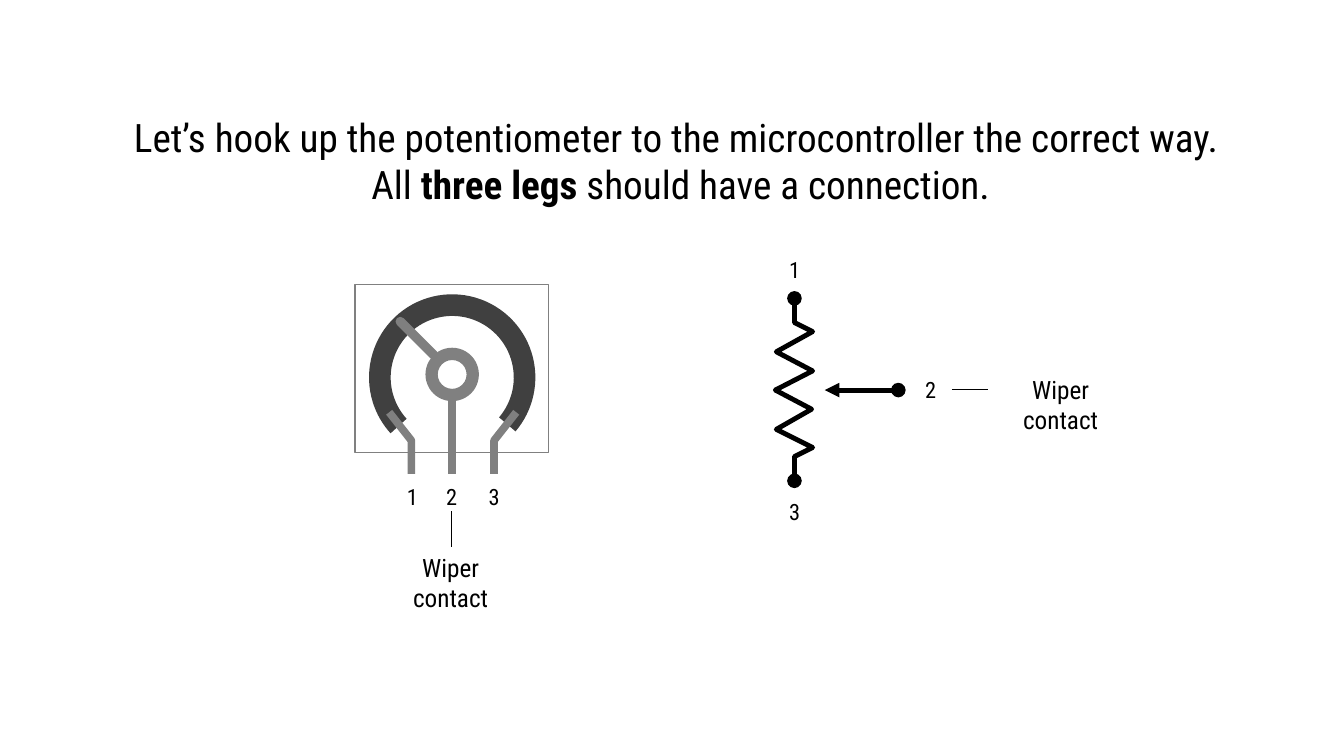
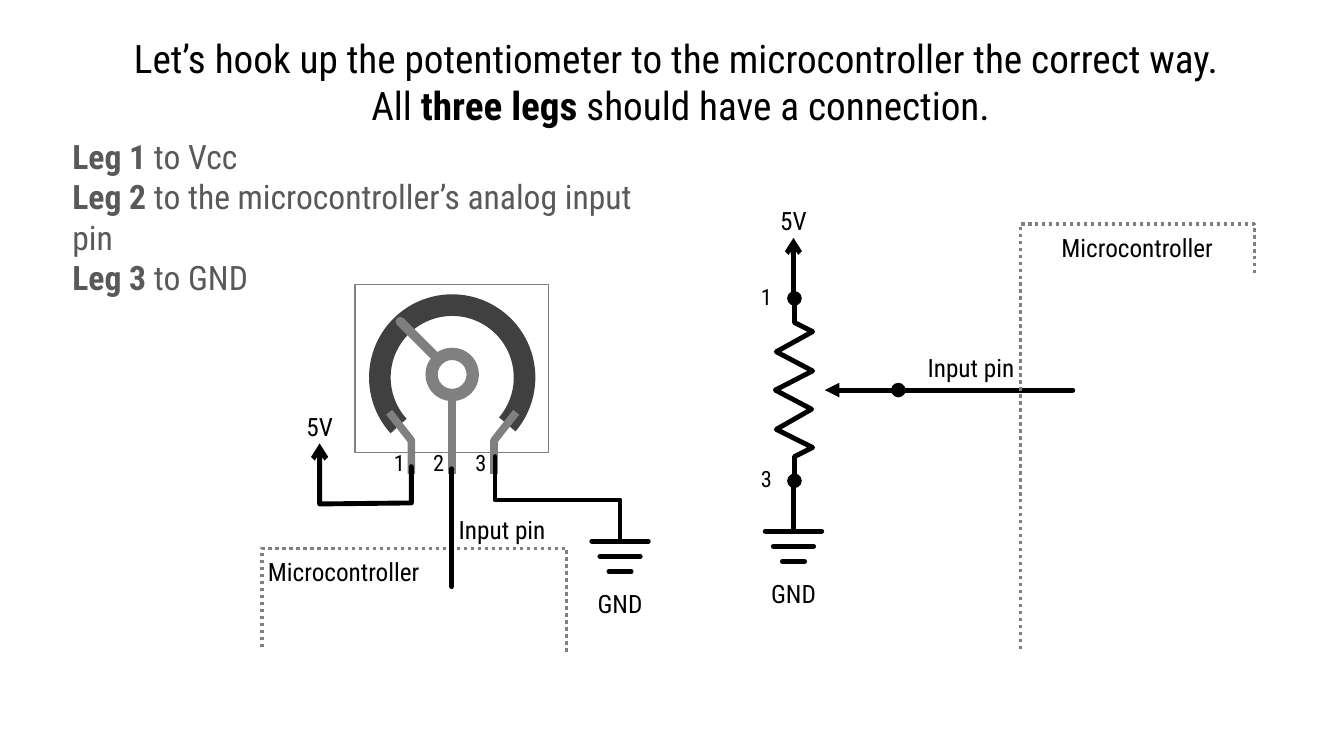
import pptx
import pptx.util
import pptx.dml.color
import pptx.enum.dml
import pptx.enum.shapes
import pptx.enum.text
import pptx.oxml
import pptx.oxml.ns
from pptx.util import Inches

COLORS = {
    "black": "000000",
    "track": "404040",
    "caption": "595959",
    "wiper": "7F7F7F",
    "metal": "808080",
}
FONT = "Roboto Condensed"
THIN, METAL, WIRE = 0.5, 5.5, 3.5
RESISTOR_X, WIPER_X, WIPER_Y = 7.87, 4.48, 3.87
TITLE = [
    [("Let’s hook up the potentiometer to the microcontroller the correct way. ", False)],
    [("All ", False), ("three legs ", True), ("should have a connection.", False)],
]
CONNECTIONS = [
    [("Leg 1 ", True), ("to Vcc", False)],
    [("Leg 2 ", True), ("to the microcontroller’s analog input pin", False)],
    [("Leg 3 ", True), ("to GND", False)],
]
RESISTOR = [
    (7.88, 2.96), (7.88, 3.2), (8.06, 3.29), (7.7, 3.49), (8.06, 3.68), (7.69, 3.87),
    (8.05, 4.06), (7.7, 4.26), (8.06, 4.44), (7.88, 4.53), (7.88, 4.77),
]
LEG_CENTERS = (4.09, WIPER_X, 4.9)


class CircuitDeck:
    def __init__(self):
        self.presentation = pptx.Presentation()
        self.presentation.slide_width = Inches(13.33)
        self.presentation.slide_height = Inches(7.5)
        self.slide = None

    def color(self, name):
        return pptx.dml.color.RGBColor.from_string(COLORS[name])

    def add_slide(self, title_top):
        layout = self.presentation.slide_layouts[5]
        self.slide = self.presentation.slides.add_slide(layout)
        title = self.slide.shapes.title
        title.left, title.top = Inches(0.16), Inches(title_top)
        title.width, title.height = Inches(13.18), Inches(1.04)
        self.fill_frame(title.text_frame, TITLE, 28)

    def fill_frame(self, frame, paragraphs, size, color="black", centered=True):
        align = pptx.enum.text.PP_ALIGN
        frame.word_wrap = True
        frame.auto_size = pptx.enum.text.MSO_AUTO_SIZE.NONE
        frame.vertical_anchor = pptx.enum.text.MSO_ANCHOR.TOP
        for index, runs in enumerate(paragraphs):
            paragraph = frame.add_paragraph() if index else frame.paragraphs[0]
            paragraph.alignment = align.CENTER if centered else align.LEFT
            for text, bold in runs:
                run = paragraph.add_run()
                run.text = text
                run.font.name = FONT
                run.font.size = pptx.util.Pt(size)
                run.font.bold = bold
                run.font.color.rgb = self.color(color)

    def text(self, left, top, width, height, paragraphs, size, color="black", centered=True):
        box = self.slide.shapes.add_textbox(*map(Inches, (left, top, width, height)))
        self.fill_frame(box.text_frame, paragraphs, size, color, centered)

    def label(self, text, center, top, width, size=18):
        self.text(center - width / 2, top, width, 0.4, [[(text, False)]], size)

    def number(self, text, center, top):
        self.label(text, center, top, 0.65, 16)

    def stroke(self, shape, color, width, head=None, tail=None, rounded=False, dotted=False):
        line = shape.line
        line.color.rgb = self.color(color)
        line.width = pptx.util.Pt(width)
        if dotted:
            line.dash_style = pptx.enum.dml.MSO_LINE.ROUND_DOT
        properties = shape._element.spPr.find(pptx.oxml.ns.qn("a:ln"))
        if rounded:
            properties.set("cap", "rnd")
        for tag, kind in (("headEnd", head), ("tailEnd", tail)):
            if kind:
                namespace = pptx.oxml.ns.nsdecls("a")
                properties.append(pptx.oxml.parse_xml(f'<a:{tag} {namespace} type="{kind}"/>'))

    def line(self, start, end, color="black", width=WIRE, **style):
        connector = self.slide.shapes.add_connector(
            pptx.enum.shapes.MSO_CONNECTOR.STRAIGHT, *map(Inches, (*start, *end)))
        self.stroke(connector, color, width, **style)
        effects = pptx.oxml.parse_xml(f'<a:effectLst {pptx.oxml.ns.nsdecls("a")}/>')
        connector._element.spPr.append(effects)

    def outline(self, points, color="black", width=WIRE, **style):
        corners = [(Inches(x), Inches(y)) for x, y in points]
        builder = self.slide.shapes.build_freeform(*corners[0])
        builder.add_line_segments(corners[1:], close=False)
        shape = builder.convert_to_shape()
        shape.shadow.inherit = False
        shape.fill.background()
        self.stroke(shape, color, width, **style)

    def preset(self, kind, left, top, width, height, fill=None, adjustments=(), rotation=0):
        shape = self.slide.shapes.add_shape(kind, *map(Inches, (left, top, width, height)))
        shape.shadow.inherit = False
        shape.rotation = rotation
        for index, value in enumerate(adjustments):
            shape.adjustments[index] = value
        if fill:
            shape.fill.solid()
            shape.fill.fore_color.rgb = self.color(fill)
            shape.line.fill.background()
        else:
            shape.fill.background()
            self.stroke(shape, "metal", 1)

    def potentiometer(self, number_shift, number_top):
        kinds = pptx.enum.shapes.MSO_SHAPE
        self.preset(kinds.BLOCK_ARC, 3.66, 2.92, 1.65, 1.65, "track",
                    (57.13, 214.69, 0.13), 42.6)
        for outer, inner in ((3.86, 4.08), (5.12, 4.9)):
            self.outline([(outer, 4.09), (inner, 4.37), (inner, 4.7)], "metal", METAL)
        self.line((WIPER_X, 3.96), (WIPER_X, 4.7), "metal", METAL)
        self.preset(kinds.RECTANGLE, 3.52, 2.82, 1.92, 1.67)
        self.preset(kinds.DONUT, 4.22, 3.45, 0.53, 0.53, "metal", (0.23,))
        self.line((4.3, 3.52), (3.97, 3.19), "wiper", 6.75, rounded=True)
        for number, center in enumerate(LEG_CENTERS, 1):
            self.number(str(number), center + number_shift, number_top)

    def resistor(self, number_center, top_of_first, top_of_third):
        self.outline(RESISTOR, head="oval", tail="oval")
        self.line((8.91, WIPER_Y), (8.18, WIPER_Y), head="oval", tail="triangle")
        self.number("1", number_center, top_of_first)
        self.number("3", number_center, top_of_third)

    def supply(self, points):
        if len(points) > 2:
            self.outline(points, tail="arrow", rounded=True)
        else:
            self.line(*points, tail="arrow", rounded=True)
        center, tip = points[-1]
        self.label("5V", center, tip - 0.37, 0.66)

    def ground(self, center, top):
        for index, half in enumerate((0.28, 0.2, 0.11)):
            y = top + 0.15 * index
            self.line((center - half, y), (center + half, y), rounded=True)
        self.label("GND", center, top + 0.42, 0.66)

    def microcontroller(self, border, label_center, label_top):
        self.outline(border, "metal", 2.5, dotted=True)
        self.label("Microcontroller", label_center, label_top, 2.7)


def legs_slide(deck):
    deck.add_slide(1.07)
    deck.potentiometer(0, 4.74)
    deck.line((WIPER_X, 5.07), (WIPER_X, 5.43), width=THIN)
    deck.label("Wiper contact", 4.47, 5.43, 1.48)
    deck.resistor(7.88, 2.49, 4.89)
    deck.number("2", 9.23, 3.68)
    deck.line((9.44, 3.86), (9.8, 3.86), width=THIN)
    deck.label("Wiper contact", 10.52, 3.66, 1.48)


def wiring_slide(deck):
    deck.add_slide(0.29)
    deck.potentiometer(-0.13, 4.41)
    deck.resistor(7.6, 2.76, 4.57)
    deck.supply([(RESISTOR_X, 2.96), (RESISTOR_X, 2.36)])
    deck.supply([(4.08, 4.63), (4.08, 4.99), (3.17, 5), (3.17, 4.4)])
    deck.line((10.64, WIPER_Y), (8.91, WIPER_Y), rounded=True)
    deck.microcontroller([(10.12, 6.44), (10.12, 2.22), (12.44, 2.22), (12.44, 2.73)], 11.28, 2.26)
    deck.label("Input pin", 9.63, 3.45, 1.45)
    deck.text(0.62, 1.3, 5.84, 1.31, CONNECTIONS, 24, "caption", centered=False)
    deck.microcontroller([(2.6, 6.42), (2.6, 5.44), (5.62, 5.44), (5.62, 6.49)], 3.41, 5.47)
    deck.line((WIPER_X, 5.82), (WIPER_X, 4.65), rounded=True)
    deck.label("Input pin", 4.98, 5.05, 1.45)
    deck.line((RESISTOR_X, 4.8), (RESISTOR_X, 5.24), rounded=True)
    deck.ground(RESISTOR_X, 5.27)
    deck.outline([(4.91, 4.53), (4.91, 4.96), (6.15, 4.96), (6.15, 5.35)], rounded=True)
    deck.ground(6.15, 5.37)


def main():
    deck = CircuitDeck()
    legs_slide(deck)
    wiring_slide(deck)
    deck.presentation.save("out.pptx")


if __name__ == "__main__":
    main()
